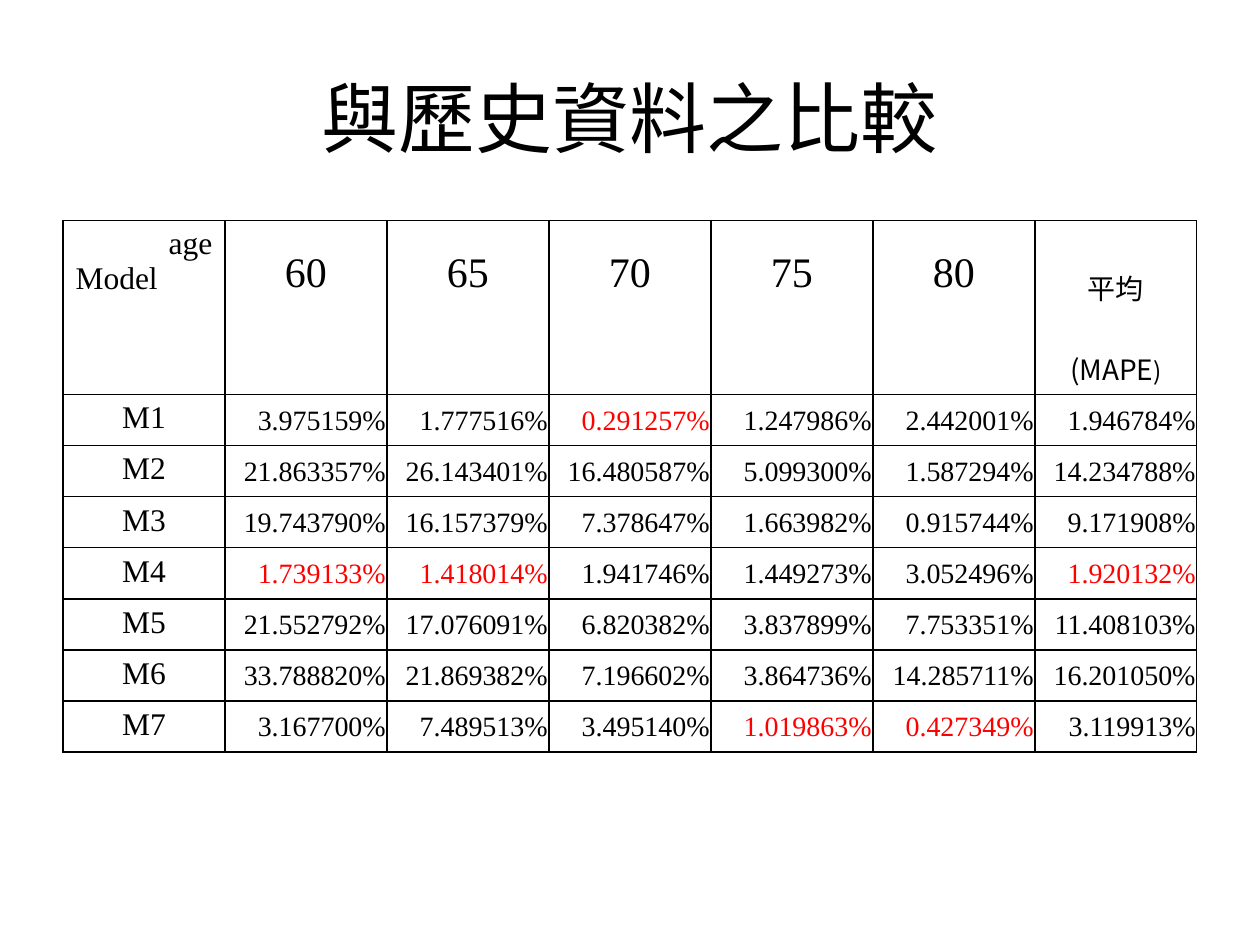
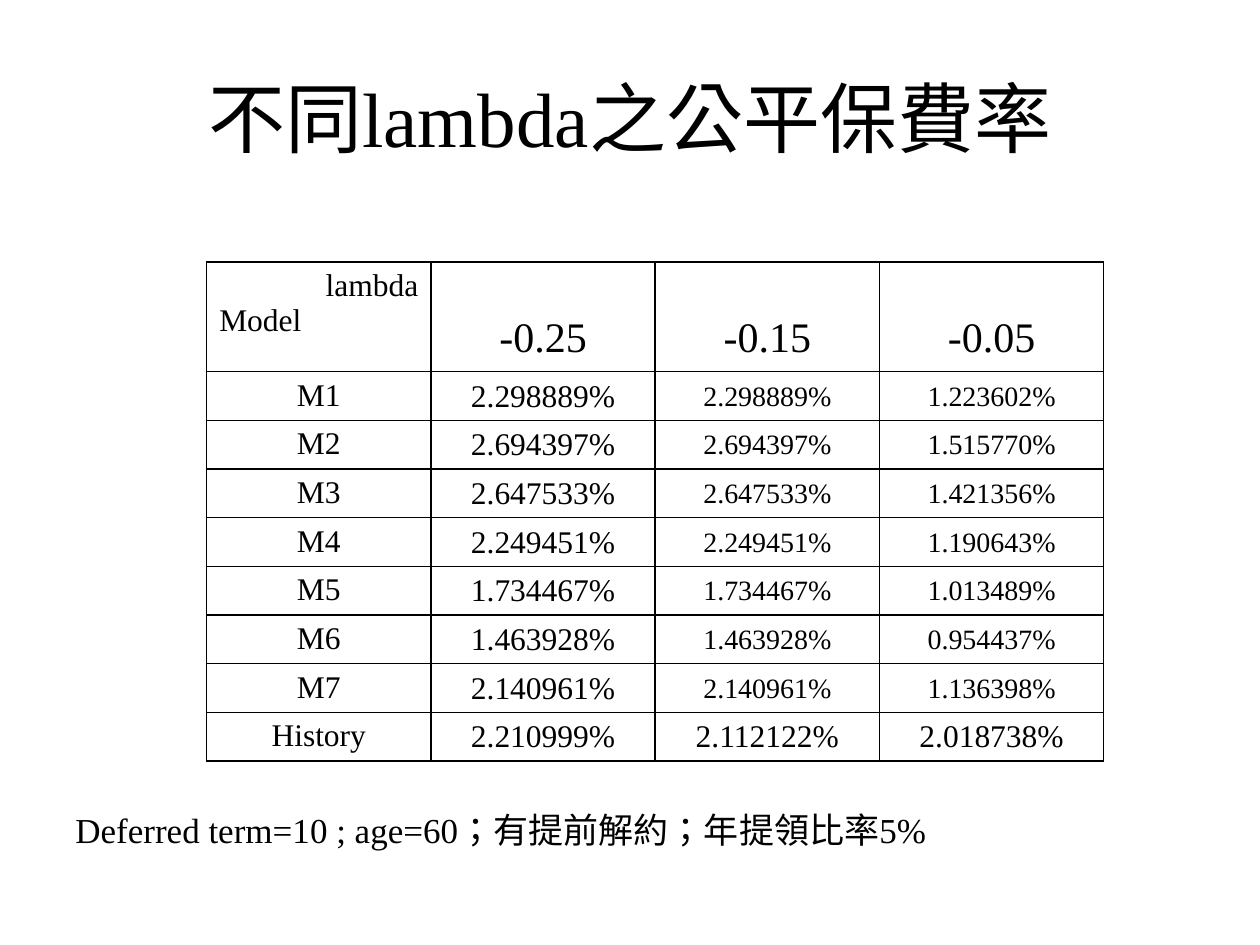
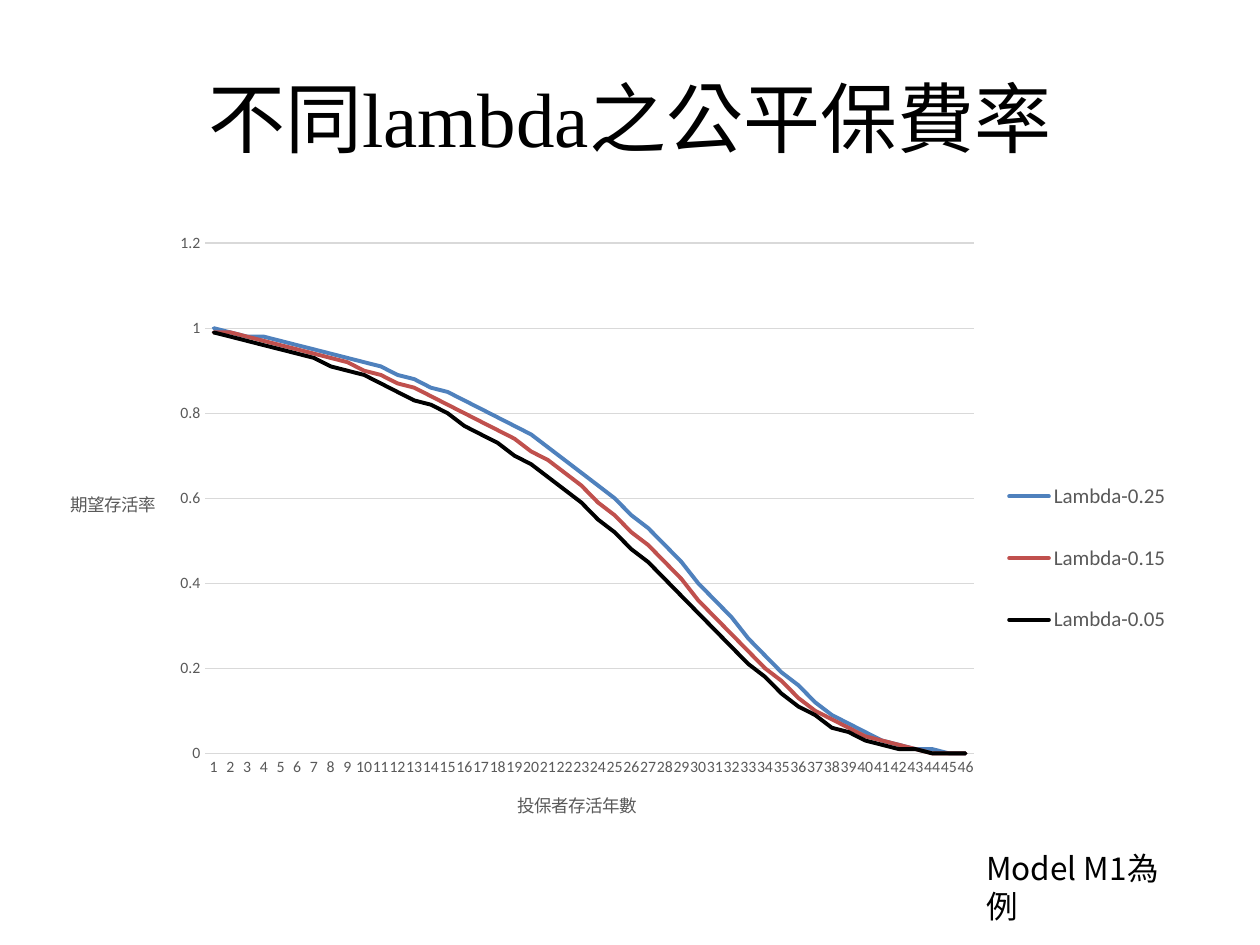
from dataclasses import dataclass

from lxml import etree
from pptx import Presentation
from pptx import util as u
from pptx.chart import data as chart_data
from pptx.dml import color
from pptx.enum import chart as chart_enum
from pptx.enum import text
from pptx.oxml import ns, parse_xml


@dataclass(frozen=True)
class Theme:
    ink: str = "000000"
    best: str = "FF0000"
    paper: str = "FFFFFF"
    muted: str = "595959"
    grid: str = "D9D9D9"
    lines: tuple = ("4F81BD", "C0504D", "000000")
    serif: str = "Times New Roman"
    cjk: str = "Noto Sans CJK SC"
    chart: str = "Calibri"
    language: str = "zh-TW"
    title: int = 44
    head: int = 24
    note: int = 20
    body: int = 18
    value: int = 16
    small: int = 14
    legend: int = 12
    axis_title: int = 10
    tick: int = 9


@dataclass(frozen=True)
class Box:
    left: float
    top: float
    width: float = 0
    height: float = 0

    def lengths(self):
        return [u.Inches(v) for v in (self.left, self.top, self.width, self.height)]


THEME = Theme()
LEFT, CENTER, RIGHT = text.PP_ALIGN.LEFT, text.PP_ALIGN.CENTER, text.PP_ALIGN.RIGHT
TITLE_BOX = Box(0.5, 0.3, 9, 1.25)

ERRORS = """
M1 3.975159% 1.777516% 0.291257% 1.247986% 2.442001% 1.946784%
M2 21.863357% 26.143401% 16.480587% 5.099300% 1.587294% 14.234788%
M3 19.743790% 16.157379% 7.378647% 1.663982% 0.915744% 9.171908%
M4 1.739133% 1.418014% 1.941746% 1.449273% 3.052496% 1.920132%
M5 21.552792% 17.076091% 6.820382% 3.837899% 7.753351% 11.408103%
M6 33.788820% 21.869382% 7.196602% 3.864736% 14.285711% 16.201050%
M7 3.167700% 7.489513% 3.495140% 1.019863% 0.427349% 3.119913%
"""

PREMIUMS = """
M1 2.298889% 2.298889% 1.223602%
M2 2.694397% 2.694397% 1.515770%
M3 2.647533% 2.647533% 1.421356%
M4 2.249451% 2.249451% 1.190643%
M5 1.734467% 1.734467% 1.013489%
M6 1.463928% 1.463928% 0.954437%
M7 2.140961% 2.140961% 1.136398%
History 2.210999% 2.112122% 2.018738%
"""

SURVIVAL = {
    "Lambda-0.25": [
        1, 0.99, 0.98, 0.98, 0.97, 0.96, 0.95, 0.94, 0.93, 0.92, 0.91, 0.89,
        0.88, 0.86, 0.85, 0.83, 0.81, 0.79, 0.77, 0.75, 0.72, 0.69, 0.66, 0.63,
        0.6, 0.56, 0.53, 0.49, 0.45, 0.4, 0.36, 0.32, 0.27, 0.23, 0.19, 0.16,
        0.12, 0.09, 0.07, 0.05, 0.03, 0.02, 0.01, 0.01, 0, 0],
    "Lambda-0.15": [
        0.99, 0.99, 0.98, 0.97, 0.96, 0.95, 0.94, 0.93, 0.92, 0.9, 0.89, 0.87,
        0.86, 0.84, 0.82, 0.8, 0.78, 0.76, 0.74, 0.71, 0.69, 0.66, 0.63, 0.59,
        0.56, 0.52, 0.49, 0.45, 0.41, 0.36, 0.32, 0.28, 0.24, 0.2, 0.17, 0.13,
        0.1, 0.08, 0.06, 0.04, 0.03, 0.02, 0.01, 0, 0, 0],
    "Lambda-0.05": [
        0.99, 0.98, 0.97, 0.96, 0.95, 0.94, 0.93, 0.91, 0.9, 0.89, 0.87, 0.85,
        0.83, 0.82, 0.8, 0.77, 0.75, 0.73, 0.7, 0.68, 0.65, 0.62, 0.59, 0.55,
        0.52, 0.48, 0.45, 0.41, 0.37, 0.33, 0.29, 0.25, 0.21, 0.18, 0.14, 0.11,
        0.09, 0.06, 0.05, 0.03, 0.02, 0.01, 0.01, 0, 0, 0],
}


def rgb(value):
    return color.RGBColor.from_string(value)


def style_font(font, size, name, ink):
    font.size, font.name, font.bold = u.Pt(size), name, False
    font.color.rgb = rgb(ink)


def add_span(para, words, size, name=THEME.serif, ink=THEME.ink):
    span = para.add_run()
    span.text = words
    style_font(span.font, size, name, ink)
    props = span.font._element
    props.set("lang", THEME.language)
    etree.SubElement(props, ns.qn("a:ea")).set("typeface", THEME.cjk)


def set_para(para, align, spacing=None):
    para.alignment = align
    if spacing:
        para.line_spacing = spacing


def add_page(deck, title, font=THEME.serif):
    page = deck.slides.add_slide(deck.slide_layouts[5])
    page.background.fill.solid()
    page.background.fill.fore_color.rgb = rgb(THEME.paper)
    shape = page.shapes.title
    shape.left, shape.top, shape.width, shape.height = TITLE_BOX.lengths()
    frame = shape.text_frame
    frame.auto_size = text.MSO_AUTO_SIZE.NONE
    frame.vertical_anchor = text.MSO_ANCHOR.MIDDLE
    set_para(frame.paragraphs[0], CENTER)
    add_span(frame.paragraphs[0], title, THEME.title, font)
    return page


def add_note(page, box, words, size, font):
    frame = page.shapes.add_textbox(*box.lengths()).text_frame
    frame.word_wrap = True
    add_span(frame.paragraphs[0], words, size, font)


def rule_cell(cell):
    cell.fill.background()
    props = cell._tc.get_or_add_tcPr()
    for index, side in enumerate(("lnL", "lnR", "lnT", "lnB")):
        props.insert(index, parse_xml(
            f'<a:{side} {ns.nsdecls("a")} w="{u.Pt(1)}"><a:solidFill>'
            f'<a:srgbClr val="{THEME.ink}"/></a:solidFill></a:{side}>'))


def fill_corner(cell, measure):
    frame = cell.text_frame
    for para, words, align in (
            (frame.paragraphs[0], measure, RIGHT),
            (frame.add_paragraph(), "Model", LEFT)):
        set_para(para, align)
        add_span(para, words, THEME.body)


def fill_value(cell, words, align, size, ink):
    cell.margin_left = cell.margin_right = cell.margin_top = u.Inches(0.01)
    cell.margin_bottom = 0
    cell.vertical_anchor = text.MSO_ANCHOR.MIDDLE
    para = cell.text_frame.paragraphs[0]
    set_para(para, align)
    add_span(para, words, size, ink=ink)


def add_model_table(page, box, measure, heads, rows, head_height, spacing, align,
                    size_of, best=()):
    count = len(heads) + 1
    grid = page.shapes.add_table(len(rows) + 1, count, *box.lengths()).table
    grid.first_row = grid.horz_banding = False
    for column in grid.columns:
        column.width = u.Inches(box.width / count)
    row_height = (box.height - head_height) / len(rows)
    for index, row in enumerate(grid.rows):
        row.height = u.Inches(row_height if index else head_height)
    for cell in grid.iter_cells():
        rule_cell(cell)
    fill_corner(grid.cell(0, 0), measure)
    for c, head in enumerate(heads, 1):
        para = grid.cell(0, c).text_frame.paragraphs[0]
        set_para(para, CENTER, spacing)
        add_span(para, head, THEME.head)
    for r, (model, *values) in enumerate(rows, 1):
        para = grid.cell(r, 0).text_frame.paragraphs[0]
        set_para(para, CENTER)
        add_span(para, model, THEME.body)
        for c, value in enumerate(values, 1):
            ink = THEME.best if (r, c) in best else THEME.ink
            fill_value(grid.cell(r, c), value, align, size_of(r, c), ink)
    return grid


def place(element, part, box, inner=False):
    for old in element.findall(ns.qn("c:layout")):
        element.remove(old)
    values = [("xMode", "edge"), ("yMode", "edge"),
              ("x", part.left / box.width), ("y", part.top / box.height)]
    if inner:
        values.insert(0, ("layoutTarget", "inner"))
    if part.width:
        values += [("w", part.width / box.width), ("h", part.height / box.height)]
    body = "".join(f'<c:{tag} val="{value}"/>' for tag, value in values)
    layout = parse_xml(f'<c:layout {ns.nsdecls("c")}><c:manualLayout>{body}'
                       '</c:manualLayout></c:layout>')
    before = [child for child in element
              if child.tag in (ns.qn("c:tx"), ns.qn("c:legendPos"))]
    element.insert(len(before), layout)


def style_axis(axis, words, part, box):
    axis.major_tick_mark = axis.minor_tick_mark = chart_enum.XL_TICK_MARK.NONE
    style_font(axis.tick_labels.font, THEME.tick, THEME.chart, THEME.muted)
    frame = axis.axis_title.text_frame
    add_span(frame.paragraphs[0], words, THEME.axis_title, THEME.chart, THEME.muted)
    frame._txBody.bodyPr.set("rot", "0")
    place(axis.axis_title._element, part, box)


def style_line(line, ink, width):
    line.color.rgb = rgb(ink)
    line.width = u.Pt(width)


def show_every_label(axis):
    body = axis._element.find(ns.qn("c:txPr")).find(ns.qn("a:bodyPr"))
    body.set("rot", "-60000000")
    body.set("vert", "horz")
    skip = parse_xml(f'<c:tickLblSkip {ns.nsdecls("c")} val="1"/>')
    axis._element.find(ns.qn("c:lblOffset")).addnext(skip)


def add_survival_chart(page, box):
    source = chart_data.CategoryChartData()
    source.categories = [str(year) for year in range(1, 47)]
    for name, rates in SURVIVAL.items():
        source.add_series(name, rates)
    chart = page.shapes.add_chart(
        chart_enum.XL_CHART_TYPE.LINE, *box.lengths(), source).chart
    chart.has_title = False
    style_font(chart.font, THEME.axis_title, THEME.chart, THEME.ink)
    plot = chart.plots[0]
    plot.vary_by_categories = False
    for series, ink in zip(plot.series, THEME.lines):
        series.smooth = False
        series.marker.style = chart_enum.XL_MARKER_STYLE.NONE
        style_line(series.format.line, ink, 2.25)
        series.format.line._get_or_add_ln().set("cap", "rnd")

    years, rates = chart.category_axis, chart.value_axis
    style_axis(years, "投保者存活年數", Box(3.74, 4.5), box)
    style_axis(rates, "期望存活率", Box(0.19, 2.11), box)
    style_line(years.format.line, THEME.grid, 0.75)
    show_every_label(years)
    rates.minimum_scale, rates.maximum_scale, rates.major_unit = 0, 1.2, 0.2
    rates.tick_labels.number_format = "General"
    rates.tick_labels.number_format_is_linked = False
    rates.format.line.fill.background()
    style_line(rates.major_gridlines.format.line, THEME.grid, 0.75)

    chart.has_legend = True
    legend = chart.legend
    legend.position = chart_enum.XL_LEGEND_POSITION.RIGHT
    legend.include_in_layout = False
    style_font(legend.font, THEME.legend, THEME.chart, THEME.muted)
    place(legend._element, Box(7.59, 1.8, 1.4, 1.76), box)
    place(chart._chartSpace.chart.plotArea, Box(1.29, 0.18, 6.1, 4.05), box, inner=True)


def split_rows(block):
    return [line.split() for line in block.strip().splitlines()]


def build_history_page(deck):
    page = add_page(deck, "與歷史資料之比較", THEME.cjk)
    ages = [str(age) for age in range(60, 85, 5)]
    grid = add_model_table(
        page, Box(0.5, 1.75, 9, 3.37), "age", ages + [""], split_rows(ERRORS),
        0.53, 1.5, RIGHT, lambda r, c: THEME.value,
        best={(1, 3), (4, 1), (4, 2), (4, 6), (7, 4), (7, 5)})
    para = grid.cell(0, 6).text_frame.paragraphs[0]
    para.clear()
    set_para(para, CENTER, 2.0)
    add_span(para, "平均(MAPE", THEME.value, THEME.cjk)
    add_span(para, ")", THEME.small, THEME.cjk)


def build_premium_page(deck, title):
    page = add_page(deck, title)
    rows = split_rows(PREMIUMS)
    add_model_table(
        page, Box(1.64, 2.08, 7.12, 3.96), "lambda", ["-0.25", "-0.15", "-0.05"],
        rows, 0.87, 2.0, CENTER,
        lambda r, c: THEME.body if c == 1 or r == len(rows) else THEME.value)
    add_note(page, Box(0.5, 6.37, 7.24, 0.77),
             "Deferred term=10 ; age=60；有提前解約；年提領比率5%",
             THEME.note, THEME.serif)


def build_survival_page(deck, title):
    page = add_page(deck, title)
    add_survival_chart(page, Box(0.34, 1.75, 9, 4.95))
    add_note(page, Box(7.73, 6.69, 1.77, 0.4), "Model M1為例", THEME.body, THEME.cjk)


def main():
    deck = Presentation()
    deck.slide_width, deck.slide_height = u.Inches(10), u.Inches(7.5)
    premium_title = "不同lambda之公平保費率"
    build_history_page(deck)
    build_premium_page(deck, premium_title)
    build_survival_page(deck, premium_title)
    deck.save("out.pptx")


if __name__ == "__main__":
    main()
